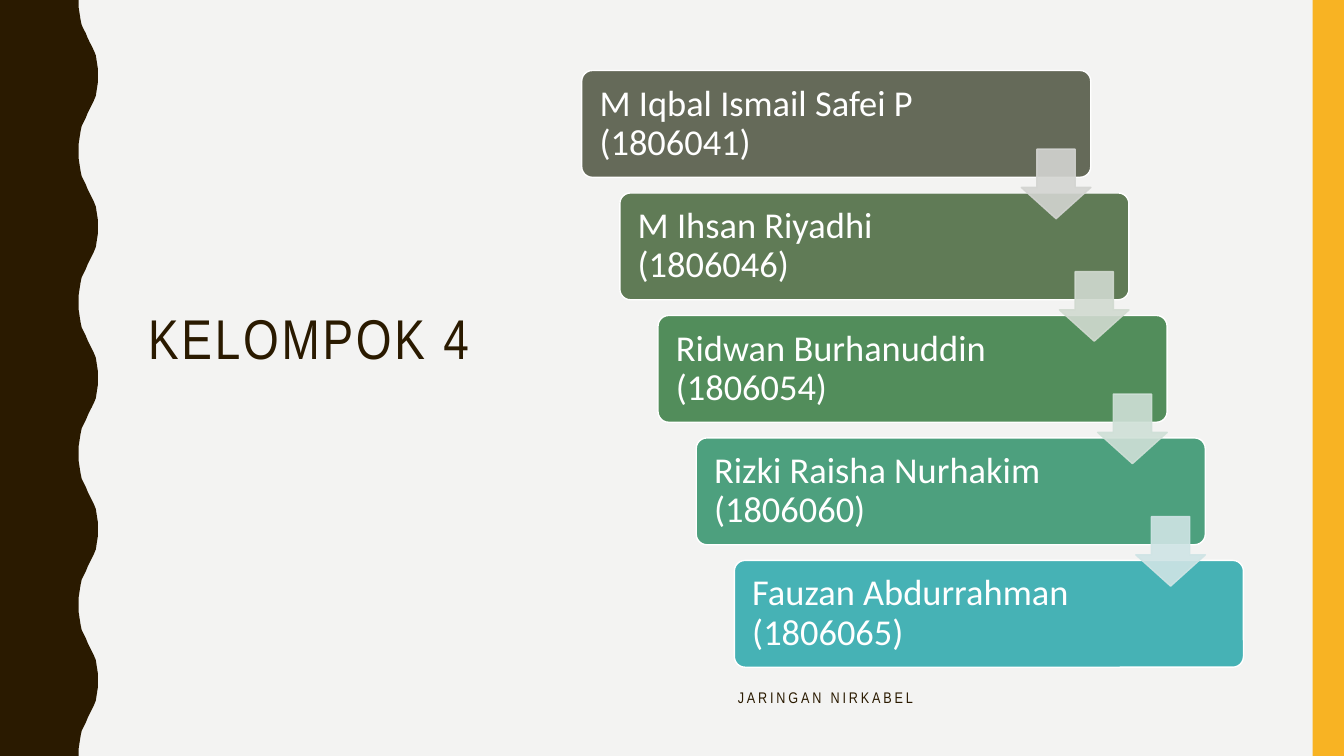
from dataclasses import dataclass

from pptx import Presentation
from pptx import util as u
from pptx.dml.color import RGBColor
from pptx.enum import shapes, text
from pptx.oxml.ns import qn

# Grid: 100 columns by 100 rows over the slide
WIDE, HIGH = u.Inches(13.33), u.Inches(7.5)
DARK, GOLD, PALE, WHITE = "2A1A00", "F8B323", "F3F3F2", "FFFFFF"
STEP_X, STEP_Y = 2.84, 16.2

# Half a wave of the left edge, as (column, row)
HALF = [(5.85, 0), (5.85, 0.93), (5.93, 1.87), (6, 2.67), (6.08, 3.33),
        (6.23, 3.87), (6.38, 4.4), (6.53, 5.07), (6.68, 5.6), (6.83, 6.13),
        (6.98, 6.67), (7.13, 7.33), (7.2, 8.13), (7.28, 9.07), (7.28, 10)]
WAVES = 5


@dataclass
class Box:
    left: float
    top: float
    width: float
    height: float

    def shift(self, n: int) -> "Box":
        return Box(self.left + n * STEP_X, self.top + n * STEP_Y,
                   self.width, self.height)

    def emu(self) -> tuple:
        return (col(self.left), row(self.top),
                col(self.width), row(self.height))


@dataclass
class Member:
    name: str
    fill: str
    arrow: str = ""


CARD = Box(43.28, 9.33, 37.88, 14.13)
ARROW = Box(75.99, 19.73, 5.18, 9.2)
TEAM = [
    Member("M Iqbal Ismail Safei P (1806041)", "656A59", "D3D4D1"),
    Member("M Ihsan Riyadhi (1806046)", "607B56", "D1DAD0"),
    Member("Ridwan Burhanuddin (1806054)", "528D5B", "CFE0D7"),
    Member("Rizki Raisha Nurhakim (1806060)", "4DA07E", "CFE4E5"),
    Member("Fauzan Abdurrahman (1806065)", "46B2B5"),
]


def col(n: float) -> int:
    return round(WIDE * n / 100)


def row(n: float) -> int:
    return round(HIGH * n / 100)


def rgb(code: str) -> RGBColor:
    return RGBColor.from_string(code)


def paint(shape, fill: str, line: str = "") -> None:
    shape.shadow.inherit = False
    shape.fill.solid()
    shape.fill.fore_color.rgb = rgb(fill)
    if line:
        shape.line.color.rgb = rgb(line)
        shape.line.width = u.Pt(1)
    else:
        shape.line.fill.background()


def fade(shape, share: int) -> None:
    for color in list(shape._element.spPr.iter(qn("a:srgbClr"))):
        alpha = color.makeelement(qn("a:alpha"), {"val": str(share * 1000)})
        color.append(alpha)


def write(shape, words: str, size: int, font: str, color: str,
          space: int = 0):
    frame = shape.text_frame
    frame.text = words
    frame.word_wrap = True
    para = frame.paragraphs[0]
    para.alignment = text.PP_ALIGN.LEFT
    para.line_spacing = 0.9
    run = para.runs[0]
    run.font.size = u.Pt(size)
    run.font.name = font
    run.font.color.rgb = rgb(color)
    if space:
        run._r.get_or_add_rPr().set("spc", str(space * 100))
    return frame


def draw_wave(slide) -> None:
    crest = HALF + [(x, 20 - y) for x, y in reversed(HALF[:-1])]
    edge = [(x, y + 20 * n) for n in range(WAVES) for x, y in crest]
    points = [(col(x), row(y)) for x, y in edge + [(0, 100)]]
    pen = slide.shapes.build_freeform(0, 0)
    pen.add_line_segments(points, close=True)
    paint(pen.convert_to_shape(), DARK)


def draw_card(slide, n: int, member: Member) -> None:
    card = slide.shapes.add_shape(shapes.MSO_SHAPE.ROUNDED_RECTANGLE,
                                  *CARD.shift(n).emu())
    card.adjustments[0] = 0.1
    paint(card, member.fill, WHITE)
    frame = write(card, member.name, 26, "Calibri", WHITE)
    frame.vertical_anchor = text.MSO_ANCHOR.MIDDLE
    frame.margin_left, frame.margin_right = col(1.1), col(9.75)


def draw_arrow(slide, n: int, color: str) -> None:
    arrow = slide.shapes.add_shape(shapes.MSO_SHAPE.DOWN_ARROW,
                                   *ARROW.shift(n).emu())
    arrow.adjustments[0], arrow.adjustments[1] = 0.55, 0.45
    paint(arrow, color, color)
    fade(arrow, 90)


def main() -> None:
    deck = Presentation()
    deck.slide_width, deck.slide_height = WIDE, HIGH
    slide = deck.slides.add_slide(deck.slide_layouts[6])

    # Background and side bands
    slide.background.fill.solid()
    slide.background.fill.fore_color.rgb = rgb(PALE)
    draw_wave(slide)
    band = slide.shapes.add_shape(shapes.MSO_SHAPE.RECTANGLE,
                                  *Box(97.67, 0, 2.33, 100).emu())
    paint(band, GOLD)

    # Title, raised by a deeper bottom margin
    title = slide.shapes.add_textbox(*Box(10.28, 9.47, 27.76, 79.07).emu())
    frame = write(title, "KELOMPOK 4", 40, "Arial Narrow", DARK, 2)
    frame.vertical_anchor = text.MSO_ANCHOR.MIDDLE
    frame.margin_bottom = row(8.3)

    # Course name
    course = slide.shapes.add_textbox(*Box(54.16, 90.67, 43.5, 9.33).emu())
    frame = write(course, "JARINGAN NIRKABEL", 11, "Arial Narrow", DARK, 2)
    frame.paragraphs[0].space_after = u.Pt(6)

    # Staircase of members, then the arrows over it
    for n, member in enumerate(TEAM):
        draw_card(slide, n, member)
    for n, member in enumerate(TEAM):
        if member.arrow:
            draw_arrow(slide, n, member.arrow)

    deck.save("out.pptx")


if __name__ == "__main__":
    main()
